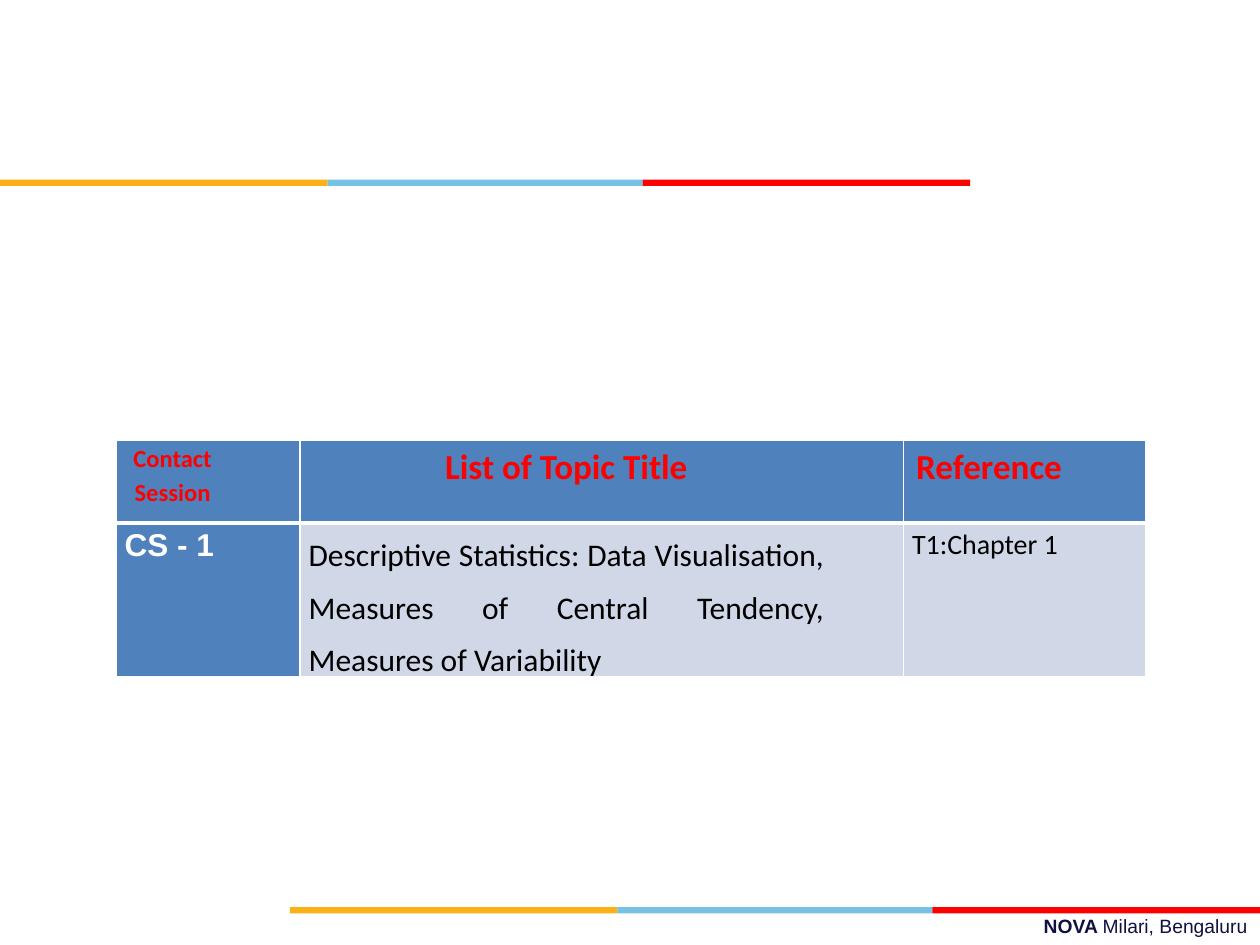
from dataclasses import dataclass

from lxml import etree
from pptx import Presentation
from pptx.dml.color import RGBColor
from pptx.enum import shapes, text
from pptx.oxml.ns import qn
from pptx.util import Inches, Pt

WIDTH, HEIGHT = Inches(10), Inches(7.5)
GOLD = RGBColor(0xFC, 0xB0, 0x17)
SKY = RGBColor(0x76, 0xC2, 0xE5)
RED = RGBColor(0xFF, 0x00, 0x00)
NAVY = RGBColor(0x10, 0x11, 0x41)
BLUE = RGBColor(0x4F, 0x81, 0xBD)
PALE = RGBColor(0xD0, 0xD8, 0xE8)
WHITE = RGBColor(0xFF, 0xFF, 0xFF)
BLACK = RGBColor(0x00, 0x00, 0x00)

BAND_COLORS = (GOLD, SKY, RED)
BAND_EDGES = (0, 0.26, 0.51, 0.77)  # shares of the slide's width
COLUMNS = (1.46, 4.79, 1.92)
ROWS = (0.66, 1.22)
CENTER, LEFT, JUSTIFY = text.PP_ALIGN.CENTER, text.PP_ALIGN.LEFT, text.PP_ALIGN.JUSTIFY


@dataclass
class Entry:
    words: str
    size: int
    color: RGBColor
    fill: RGBColor
    align: text.PP_ALIGN = LEFT
    bold: bool = False
    font: str = "Calibri"
    spacing: float = 1.15
    after: int = 10
    indent_right: float = 0


def header(words: str, size: int) -> Entry:
    return Entry(words, size, RED, BLUE, CENTER, True, indent_right=0.56)


ENTRIES = (
    (header("Contact Session", 14), header("List of Topic Title", 20), header("Reference", 20)),
    (
        Entry("CS - 1", 18, WHITE, BLUE, bold=True, font="Arial"),
        Entry(
            "Descriptive Statistics: Data Visualisation, "
            "Measures of Central Tendency, Measures of Variability",
            18, BLACK, PALE, JUSTIFY, spacing=1.36, after=0, indent_right=0.56,
        ),
        Entry("T1:Chapter 1", 16, BLACK, PALE),
    ),
)


def add_span(para, words: str, font: str, size: int, color: RGBColor, bold: bool) -> None:
    span = para.add_run()
    span.text = words
    span.font.name = font
    span.font.size = Pt(size)
    span.font.color.rgb = color
    span.font.bold = bold


def add_stripe(page, left: float, top: float) -> None:
    """Draw the three-colour stripe; left and top are shares of the slide."""
    for color, start, end in zip(BAND_COLORS, BAND_EDGES, BAND_EDGES[1:]):
        band = page.shapes.add_shape(
            shapes.MSO_SHAPE.RECTANGLE,
            int(WIDTH * (left + start)), int(HEIGHT * top),
            int(WIDTH * (end - start)), Inches(0.05),
        )
        band.shadow.inherit = False
        band.fill.solid()
        band.fill.fore_color.rgb = color
        band.line.fill.background()


def add_borders(cell, bottom: int) -> None:
    """Give a cell white borders, placed before its fill as the schema asks."""
    properties = cell._tc.get_or_add_tcPr()
    for index, (side, points) in enumerate((("L", 1), ("R", 1), ("T", 1), ("B", bottom))):
        line = etree.Element(qn(f"a:ln{side}"), w=str(Pt(points)))
        fill = etree.SubElement(line, qn("a:solidFill"))
        etree.SubElement(fill, qn("a:srgbClr"), val=str(WHITE))
        properties.insert(index, line)


def fill_cell(cell, entry: Entry, bottom: int) -> None:
    cell.fill.solid()
    cell.fill.fore_color.rgb = entry.fill
    cell.margin_left = cell.margin_right = Inches(0.07)
    cell.margin_top = cell.margin_bottom = 0
    para = cell.text_frame.paragraphs[0]
    para.alignment = entry.align
    para.line_spacing = entry.spacing
    para.space_after = Pt(entry.after)
    if entry.indent_right:
        para._p.get_or_add_pPr().set("marR", str(Inches(entry.indent_right)))
    add_span(para, entry.words, entry.font, entry.size, entry.color, entry.bold)
    add_borders(cell, bottom)


def add_topics(page) -> None:
    table = page.shapes.add_table(
        len(ROWS), len(COLUMNS), Inches(0.92), Inches(3.49),
        Inches(sum(COLUMNS)), Inches(sum(ROWS)),
    ).table
    table.horz_banding = False
    for column, width in zip(table.columns, COLUMNS):
        column.width = Inches(width)
    for row, height, entries in zip(table.rows, ROWS, ENTRIES):
        row.height = Inches(height)
        for cell, entry in zip(row.cells, entries):
            fill_cell(cell, entry, 3 if entries is ENTRIES[0] else 1)


def add_footer(page) -> None:
    box = page.shapes.add_textbox(Inches(3.58), Inches(7.21), Inches(6.42), Inches(0.29))
    box.text_frame.word_wrap = True
    para = box.text_frame.paragraphs[0]
    para.alignment = text.PP_ALIGN.RIGHT
    add_span(para, "NOVA ", "Arial", 11, NAVY, True)
    add_span(para, "Milari, Bengaluru", "Arial", 11, NAVY, False)


def main() -> None:
    deck = Presentation()
    deck.slide_width, deck.slide_height = WIDTH, HEIGHT
    page = deck.slides.add_slide(deck.slide_layouts[6])
    add_footer(page)
    add_stripe(page, 1 - BAND_EDGES[-1], 0.96)
    add_stripe(page, 0, 0.19)
    add_topics(page)
    deck.save("out.pptx")


if __name__ == "__main__":
    main()
